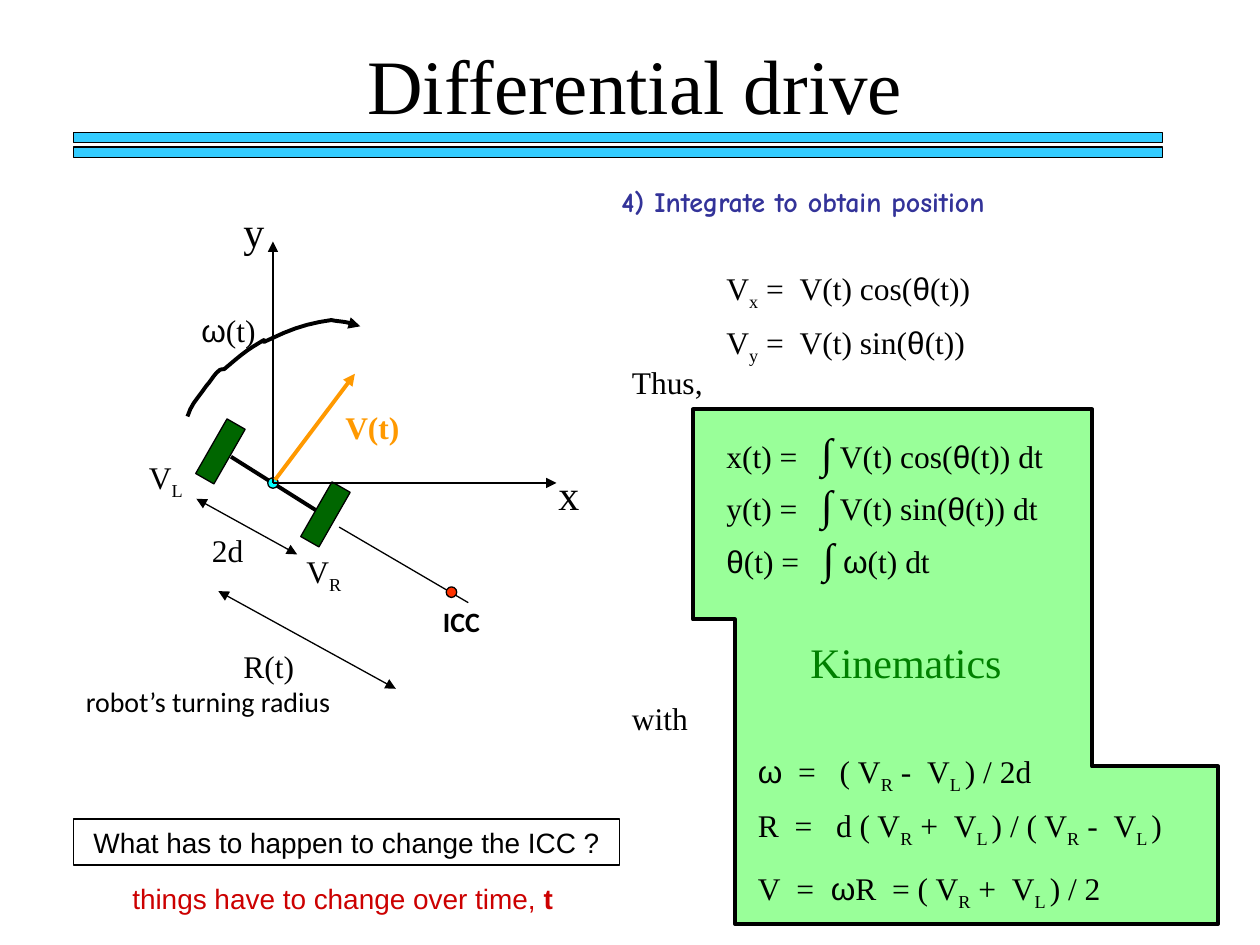
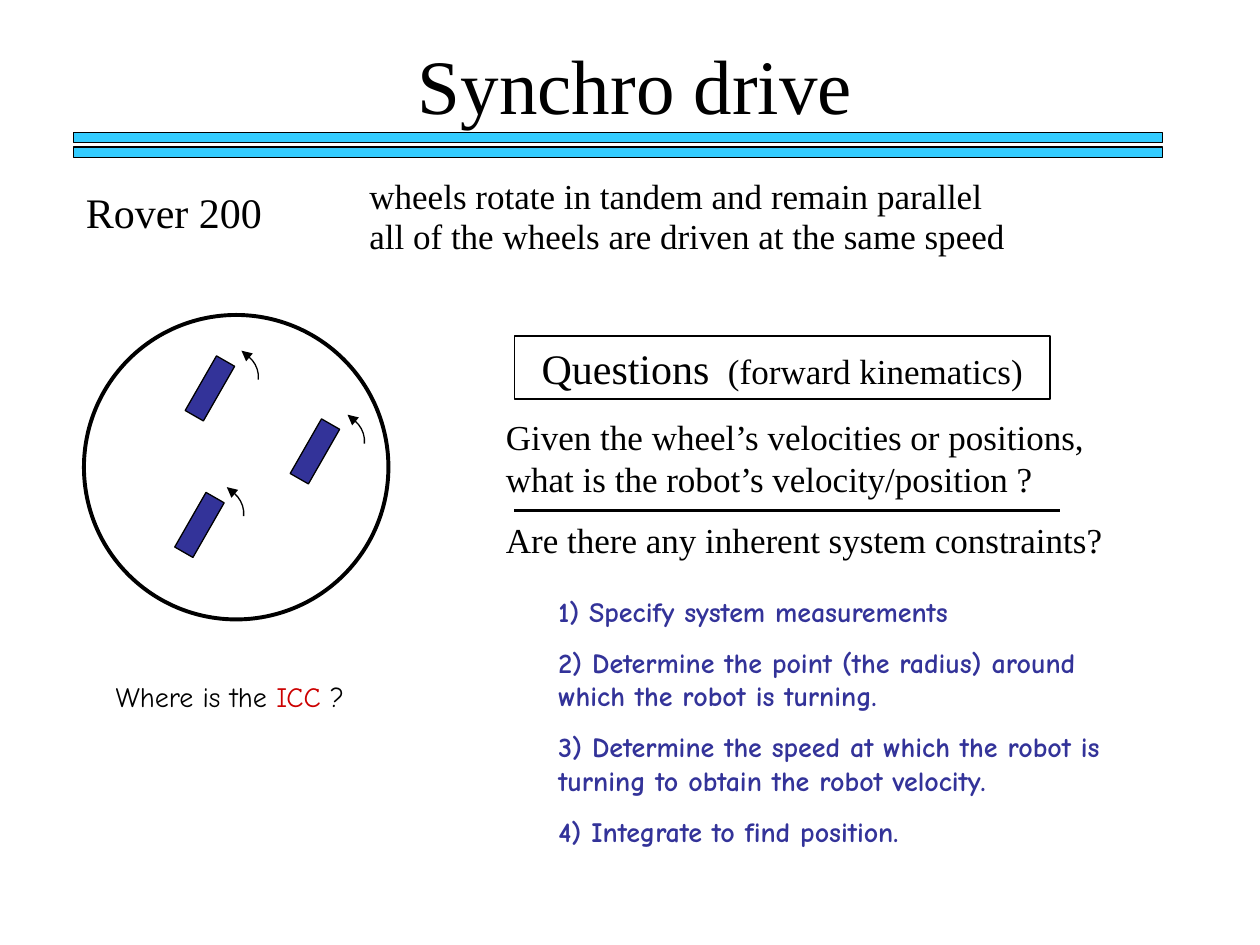
"""Two robot kinematics slides: differential drive and synchro drive."""
from pptx import Presentation
from pptx.dml.color import RGBColor
from pptx.enum.shapes import MSO_CONNECTOR, MSO_SHAPE
from pptx.enum.text import MSO_ANCHOR, MSO_AUTO_SIZE, PP_ALIGN
from pptx.oxml.ns import qn
from pptx.util import Inches, Pt
from lxml.etree import SubElement

COLUMNS, ROWS = 120, 90
CELL = Inches(10) // COLUMNS
SERIF, SANS, LABEL, HAND = "Times New Roman", "Arial", "Calibri", "Comic Neue"
BLACK, INDIGO, RED, ORANGE = "000000", "333399", "CC0000", "FF9900"
LINE, OUTLINE, CURVE = "line", "outline", "curve"
RECT, OVAL = MSO_SHAPE.RECTANGLE, MSO_SHAPE.OVAL
TILT = 29.8
colour = RGBColor.from_string


def write(slide, left, top, width, text, size=18, font=SERIF, ink=BLACK, bold=False, align=PP_ALIGN.LEFT):
    """Add text; | parts runs, _ lowers a run, Greek is sans, lone spaces and = are wide."""
    box = slide.shapes.add_textbox(round(left * CELL), round(top * CELL), round(width * CELL),
                                   Pt(size * 1.2 + 7.2))
    frame = box.text_frame
    frame.word_wrap = True
    for index, line in enumerate(text.split("\n")):
        paragraph = frame.add_paragraph() if index else frame.paragraphs[0]
        paragraph.alignment = align
        if index:
            paragraph.space_before = Pt(size * 0.625)
        for part in line.split("|"):
            run = paragraph.add_run()
            run.text = part.removeprefix("_")
            run.font.name = SANS if set(part) & set("ωθ") else font
            run.font.size = Pt(24 if part == "∫" else size)
            run.font.bold = bold
            run.font.color.rgb = colour(ink)
            if part.startswith("_"):
                run.font._element.set("baseline", "-25000")
            if part in (" ", "=", "= ", " = "):
                run.font._element.set("spc", "450")
    return box


def draw(slide, kind, at, fill=None, weight=0.75, ink=BLACK, ends=()):
    """Draw a preset shape, line, outline or curve given in grid cells."""
    if kind in (OUTLINE, CURVE):
        if kind == CURVE:
            at = at[:1] + [
                tuple((1 - t) ** 3 * a + 3 * t * (1 - t) ** 2 * b + 3 * t * t * (1 - t) * c + t ** 3 * d
                      for a, b, c, d in zip(*at[start:start + 4]))
                for start in range(0, len(at) - 1, 3) for t in (0.2, 0.4, 0.6, 0.8, 1)]
        points = [(round(100 * x), round(100 * y)) for x, y in at]
        builder = slide.shapes.build_freeform(*points[0], scale=CELL / 100)
        builder.add_line_segments(points[1:], close=kind == OUTLINE)
        item = builder.convert_to_shape()
    else:
        place = [round(n * CELL) for n in at]
        if kind == LINE:
            item = slide.shapes.add_connector(MSO_CONNECTOR.STRAIGHT, *place)
        else:
            item = slide.shapes.add_shape(kind, *place)
    item.line.color.rgb = colour(ink)
    item.line.width = Pt(weight)
    for end in ends:
        SubElement(item.line._get_or_add_ln(), qn(f"a:{end}End"), type="triangle")
    if kind == LINE:
        SubElement(item._element.spPr, qn("a:effectLst"))
    else:
        item.shadow.inherit = False
        if fill:
            item.fill.solid()
            item.fill.fore_color.rgb = colour(fill)
        else:
            item.fill.background()
    return item


deck = Presentation()
deck.slide_width, deck.slide_height = COLUMNS * CELL, ROWS * CELL

slides = []
for heading in ("Differential drive", "Synchro drive"):
    slide = deck.slides.add_slide(deck.slide_layouts[5])
    title = slide.shapes.title
    title.left, title.top, title.width, title.height = 11 * CELL, 3 * CELL, 99 * CELL, 10 * CELL
    title.text_frame.text = heading
    title.text_frame.auto_size = MSO_AUTO_SIZE.NONE
    title.text_frame.vertical_anchor = MSO_ANCHOR.TOP
    title_line = title.text_frame.paragraphs[0]
    title_line.alignment = PP_ALIGN.CENTER
    title_font = title_line.runs[0].font
    title_font.name, title_font.size, title_font.color.rgb = SERIF, Pt(44), colour(BLACK)
    for band in range(2):
        draw(slide, RECT, (7, 12.6 + 1.4 * band, 103.7, 1), "33CCFF")
    slides.append(slide)
differential, synchro = slides

draw(differential, OUTLINE, [(104, 39), (66, 39), (66, 59), (70, 59), (70, 88), (116, 88), (116, 73), (104, 73)],
     "99FF99", 2.25)
wheels = []
for left, top in ((20, 40), (30, 46)):
    wheel = draw(differential, RECT, (left, top, 2, 6), "006600")
    wheel.rotation = TILT
    wheels.append(wheel)
axle = draw(differential, LINE, (22, 43.5, 30.1, 48.6), weight=2.25)
axle_ends = axle.begin_x, axle.begin_y, axle.end_x, axle.end_y
axle.begin_connect(wheels[0], 3)
axle.end_connect(wheels[1], 1)
axle.begin_x, axle.begin_y, axle.end_x, axle.end_y = axle_ends

draw(differential, LINE, (32.3, 50.2, 44.6, 57.4))
for span in ((18.7, 47.5, 28.3, 52.8), (20.8, 56.3, 37.7, 65.6)):
    draw(differential, LINE, span, ends=("head", "tail"))
draw(differential, OVAL, (42.5, 55.9, 1, 1), "FF3300")
draw(differential, OVAL, (25.5, 45.5, 1, 1), "00FFFF")
draw(differential, CURVE, [
    (17.86, 39.66), (18.24, 38.4), (18.96, 37.8), (19.68, 36.72), (20.04, 36.36), (20.4, 35.64), (20.88, 35.28),
    (21, 35.16), (21.24, 35.16), (21.36, 35.16), (22.2, 34.44), (23.16, 33.6), (24.12, 33),
    (26.64, 31.44), (23.64, 33.36), (26.04, 32.16), (27.72, 31.32), (29.64, 30.72), (31.56, 30.48),
    (32.04, 30.6), (32.64, 30.6), (33.12, 30.72), (33.6, 30.84), (33.96, 31.08), (34.32, 31.08)],
    weight=2.25, ends=("tail",))
for tip in ((26, 23), (53, 46)):
    draw(differential, LINE, (26, 46, *tip), ends=("tail",))
draw(differential, LINE, (26.2, 45.7, 33.8, 35.6), weight=2.25, ink=ORANGE, ends=("tail",))

for left, top, width, text in (
        (28, 52, 9, "V|_R"), (13, 43, 9, "V|_L"), (19, 50, 6, "2d"), (22, 61, 9, "R(t)"),
        (18, 29, 8.4, "ω|(t)"), (59, 34, 11, "Thus,"), (59, 66, 11, "with"),
        (68, 25, 30, "V|_x| =| |V(t) cos(|θ|(t))"),
        (68, 30.2, 30, "V|_y| =| |V(t) sin(|θ|(t))"),
        (68, 40, 36, "x(t) |= |∫| V(t) cos(|θ|(t)) dt"),
        (68, 45, 36, "y(t) |= |∫| V(t) sin(|θ|(t)) dt"),
        (68, 50, 36, "θ|(t) |= |∫| |ω|(t) dt".replace("| |ω", "| ω")),
        (71, 71, 37, "ω| = |( V|_R| -| |V|_L |) / 2d"),
        (71, 76.2, 47, "R| = |d ( V|_R| +| |V|_L |) / ( V|_R| -| |V|_L |)"),
        (71, 82.2, 47, "V| |=| ω|R| |= ( V|_R| +| |V|_L |) / 2")):
    write(differential, left, top, width, text)
write(differential, 52, 44, 9, "x", 24)
write(differential, 22, 19, 9, "y", 24)
write(differential, 76, 60, 21, "Kinematics", 24, ink="008000")
write(differential, 31.7, 38.3, 9, "V(t)", ink=ORANGE, bold=True)
write(differential, 41, 57, 8, "ICC", 16, LABEL, bold=True)
write(differential, 7, 64.6, 35, "robot’s turning radius", 16, LABEL)
write(differential, 58, 17, 55, "4) Integrate to obtain position", 16, HAND, INDIGO, True)
challenge = write(differential, 7, 78, 52, "What has to happen to change the ICC ?", 16, SANS, align=PP_ALIGN.CENTER)
answer = write(differential, 7, 83.4, 52, "things have to change over time, |t ", 16, SANS, RED, align=PP_ALIGN.CENTER)
answer.text_frame.paragraphs[0].runs[1].font.bold = True

draw(synchro, OVAL, (8, 30, 29, 29), weight=2.25)
turn = [(1.6, 2.76), (1.7, 1.9), (1.3, 1.1), (0.72, 0.6), (0.48, 0.36), (0.2, 0.25), (0, 0)]
for left, top, tip_x, tip_y in ((18, 47, 21.6, 46.4), (29, 40, 33.1, 39.5), (19, 34, 23, 33.4)):
    draw(synchro, RECT, (left, top, 2, 6), INDIGO).rotation = TILT
    draw(synchro, CURVE, [(tip_x + x, tip_y + y) for x, y in turn], ends=("tail",))
draw(synchro, LINE, (49, 48.6, 101, 48.6), weight=1.5)

write(synchro, 7, 17.2, 24, "Rover 200", 24)
for left, top, width, text in (
        (34, 16, 65, "wheels rotate in tandem and remain parallel"),
        (34, 19.8, 65, "all of the wheels are driven at the same speed"),
        (47, 39, 58, "Given the wheel’s velocities or positions, what is the robot’s velocity/position ?"),
        (47, 48.8, 63, "Are there any inherent system constraints?")):
    write(synchro, left, top, width, text, 20)
questions = write(synchro, 49, 32, 51, "Questions| |(forward kinematics)", 24, align=PP_ALIGN.CENTER)
questions.text_frame.paragraphs[0].runs[2].font.size = Pt(20)
for framed in (challenge, questions):
    framed.line.color.rgb = colour(BLACK)
    framed.line.width = Pt(1)
write(synchro, 52, 56, 55.2,
      "1) Specify system measurements\n"
      "2) Determine the point (the radius) around which the robot is turning.\n"
      "3) Determine the speed at which the robot is turning to obtain the robot velocity.\n"
      "4) Integrate to find position.", 16, HAND, INDIGO, True)
centre = write(synchro, 7.4, 64.1, 29, "Where is the |ICC| ?", 16, HAND, align=PP_ALIGN.CENTER)
centre.text_frame.paragraphs[0].runs[1].font.color.rgb = colour(RED)

deck.save("out.pptx")
